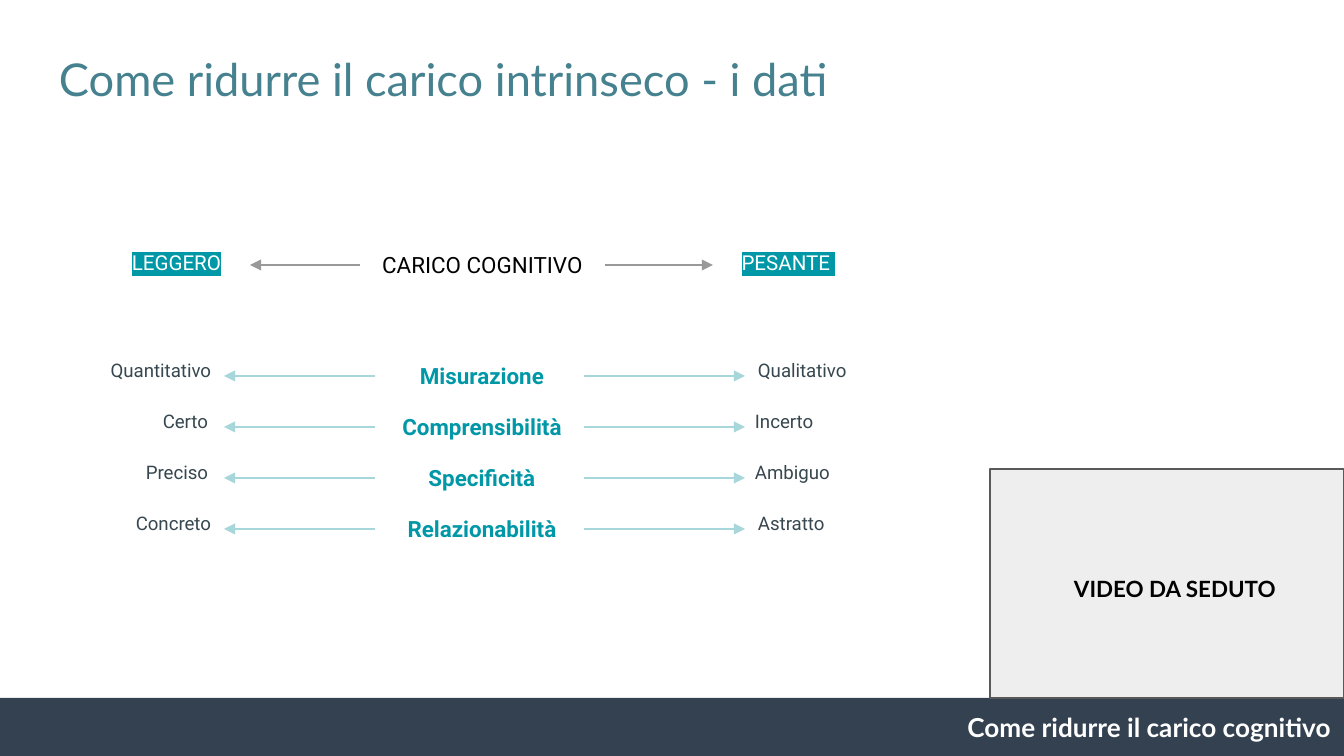
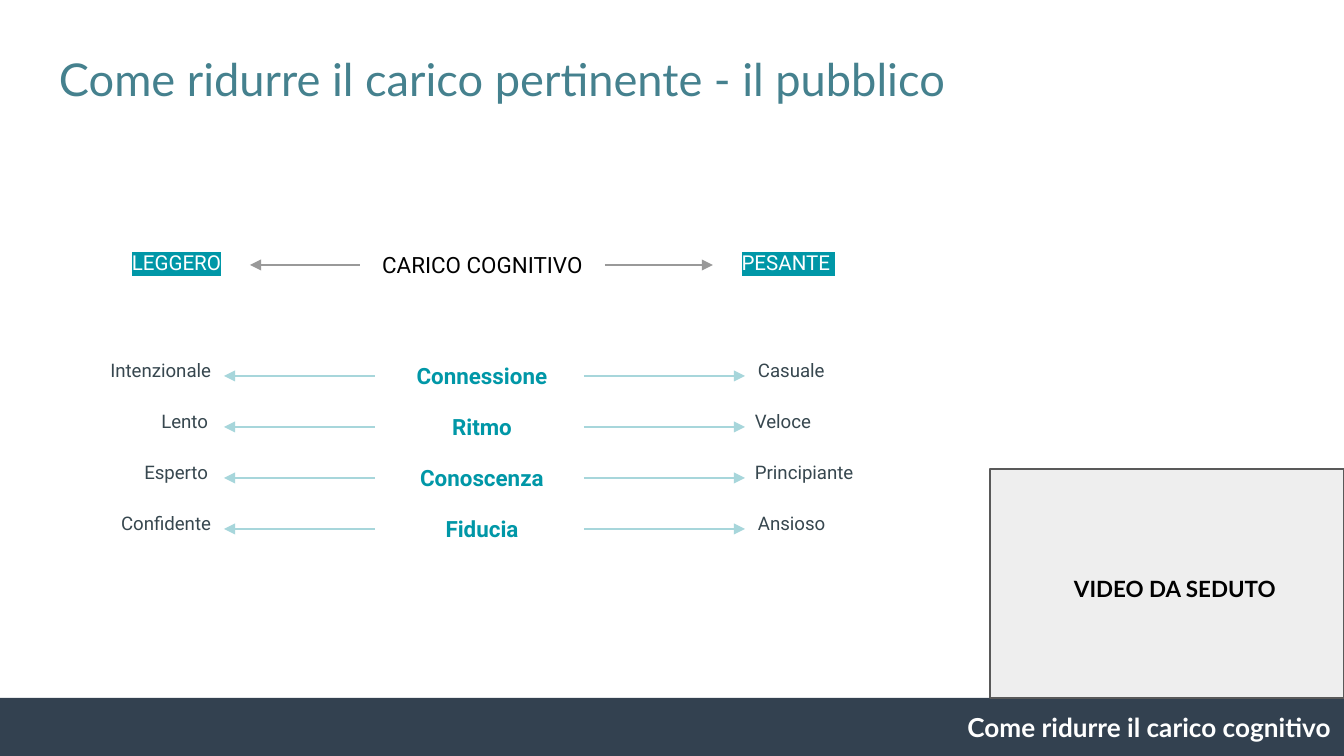
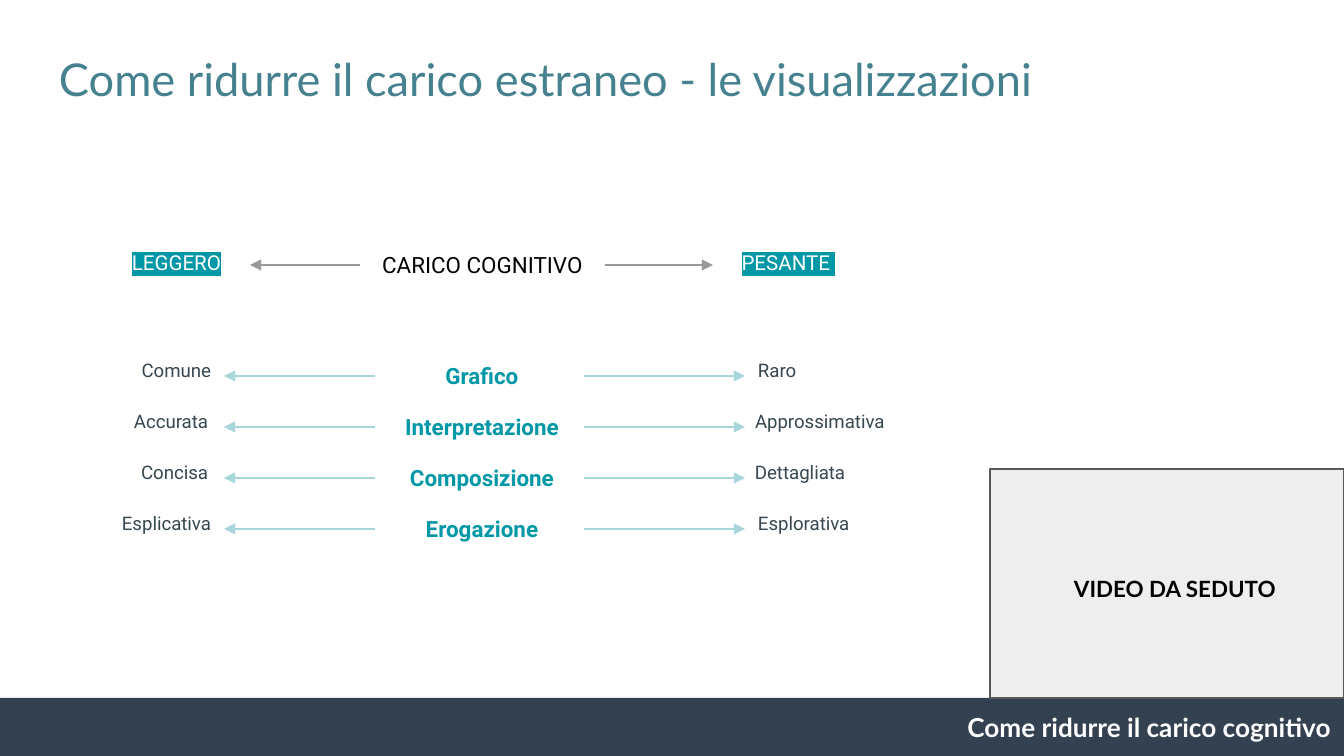
from dataclasses import dataclass

from lxml import etree
from pptx import Presentation
from pptx.dml.color import RGBColor
from pptx.enum.shapes import MSO_CONNECTOR, MSO_SHAPE
from pptx.enum.text import MSO_ANCHOR, PP_ALIGN
from pptx.oxml.ns import qn
from pptx.shapes.autoshape import Shape
from pptx.slide import Slide
from pptx.util import Emu, Inches, Pt

LEFT, CENTER, RIGHT = PP_ALIGN.LEFT, PP_ALIGN.CENTER, PP_ALIGN.RIGHT
TOP = MSO_ANCHOR.TOP
RECTANGLE = MSO_SHAPE.RECTANGLE
STRAIGHT = MSO_CONNECTOR.STRAIGHT
LEFT_SIDE, RIGHT_SIDE = 1, 3

SLIDE_W, SLIDE_H = 1344, 756
EMU_PER_PX = Inches(10) / SLIDE_W
INSET = 13


@dataclass(frozen=True)
class Theme:
    title: str = "45818E"
    band: str = "334150"
    panel: str = "EEEEEE"
    panel_line: str = "595959"
    white: str = "FFFFFF"
    black: str = "000000"
    accent: str = "0097A7"
    label: str = "37474F"
    axis_arrow: str = "999999"
    row_arrow: str = "A7D6DB"
    heading_font: str = "Lato"
    body_font: str = "Roboto"
    title_pt: float = 24.2
    footer_pt: float = 14
    topic_pt: float = 12
    pole_pt: float = 11
    label_pt: float = 10
    line_pt: float = 0.75


@dataclass(frozen=True)
class Box:
    x: int
    y: int
    w: int
    h: int


@dataclass(frozen=True)
class Scale:
    light: str
    topic: str
    heavy: str
    heavy_w: int = 138


@dataclass(frozen=True)
class Page:
    title: str
    scales: tuple[Scale, ...]


THEME = Theme()

TITLE = Box(46, 38, 1253, 85)
BAND = Box(-2, 698, 1346, 58)
FOOTER = Box(613, 698, 731, 58)
VIDEO = Box(990, 469, 354, 229)
VIDEO_LABEL = Box(1028, 562, 294, 85)

AXIS = Box(360, 238, 245, 54)
AXIS_Y = AXIS.y + AXIS.h // 2
AXIS_ARROW_ENDS = 250, 713
POLES = (("LEGGERO", Box(116, 238, 121, 53)), ("PESANTE ", Box(728, 238, 121, 53)))

ROW_Y, ROW_PITCH = 376, 51
TOPIC_CENTER, TOPIC_H = 482, 54
TOPIC_WIDTHS = 180, 190
LIGHT_ARROW = 375, 224
HEAVY_ARROW = 584, 745
LIGHT_X, HEAVY_X, LABEL_W, LABEL_H = 83, 742, 138, 50
LABEL_RISE = 28
OUTER_SHIFT = 3

PAGES = (
    Page("Come ridurre il carico intrinseco - i dati", (
        Scale("Quantitativo", "Misurazione", "Qualitativo"),
        Scale("Certo", "Comprensibilità", "Incerto"),
        Scale("Preciso", "Specificità", "Ambiguo"),
        Scale("Concreto", "Relazionabilità", "Astratto"),
    )),
    Page("Come ridurre il carico pertinente - il pubblico", (
        Scale("Intenzionale", "Connessione", "Casuale"),
        Scale("Lento", "Ritmo", "Veloce"),
        Scale("Esperto", "Conoscenza", "Principiante"),
        Scale("Confidente", "Fiducia", "Ansioso"),
    )),
    Page("Come ridurre il carico estraneo - le visualizzazioni", (
        Scale("Comune", "Grafico", "Raro"),
        Scale("Accurata", "Interpretazione", "Approssimativa", heavy_w=161),
        Scale("Concisa", "Composizione", "Dettagliata"),
        Scale("Esplicativa", "Erogazione", "Esplorativa"),
    )),
)


def px(n: int) -> Emu:
    return Emu(round(n * EMU_PER_PX))


def rgb(color: str) -> RGBColor:
    return RGBColor.from_string(color)


def emu_box(box: Box) -> tuple[Emu, ...]:
    return px(box.x), px(box.y), px(box.w), px(box.h)


def add_text(s: Slide, box: Box, text: str, *, size: float, color: str,
             font: str = THEME.body_font, bold: bool = False,
             align: PP_ALIGN = LEFT, highlight: str | None = None) -> Shape:
    sp = s.shapes.add_textbox(*emu_box(box))
    tf = sp.text_frame
    tf.word_wrap = True
    tf.vertical_anchor = TOP
    tf.margin_left = tf.margin_right = tf.margin_top = tf.margin_bottom = px(INSET)
    p = tf.paragraphs[0]
    p.alignment = align
    r = p.add_run()
    r.text = text
    r.font.name, r.font.size, r.font.bold = font, Pt(size), bold
    r.font.color.rgb = rgb(color)
    if highlight:
        mark = etree.Element(qn("a:highlight"))
        etree.SubElement(mark, qn("a:srgbClr"), val=highlight)
        r.font._element.find(qn("a:solidFill")).addnext(mark)
    return sp


def add_rect(s: Slide, box: Box, fill: str, line: str | None = None) -> None:
    sp = s.shapes.add_shape(RECTANGLE, *emu_box(box))
    sp.shadow.inherit = False
    sp.fill.solid()
    sp.fill.fore_color.rgb = rgb(fill)
    if line:
        sp.line.color.rgb = rgb(line)
        sp.line.width = Pt(THEME.line_pt)
    else:
        sp.line.fill.background()


def add_arrow(s: Slide, start: int, end: int, y: int, color: str,
              source: Shape | None = None, side: int = RIGHT_SIDE) -> None:
    """Draw a horizontal arrow, joined to a side of source when given."""
    sp = s.shapes.add_connector(STRAIGHT, px(start), px(y), px(end), px(y))
    if source is not None:
        sp.begin_connect(source, side)
    sp.line.color.rgb = rgb(color)
    sp.line.width = Pt(THEME.line_pt)
    etree.SubElement(sp.line._get_or_add_ln(), qn("a:tailEnd"), type="triangle")
    etree.SubElement(sp._element.spPr, qn("a:effectLst"))


def add_frame(s: Slide, title: str) -> None:
    """Draw the title, footer band and video panel."""
    heading = THEME.heading_font
    add_text(s, TITLE, title, size=THEME.title_pt, color=THEME.title, font=heading)
    add_rect(s, BAND, THEME.band)
    add_text(s, FOOTER, "Come ridurre il carico cognitivo", size=THEME.footer_pt,
             color=THEME.white, font=heading, bold=True, align=RIGHT)
    add_rect(s, VIDEO, THEME.panel, THEME.panel_line)
    add_text(s, VIDEO_LABEL, "VIDEO DA SEDUTO", size=THEME.topic_pt,
             color=THEME.black, font=heading, bold=True, align=CENTER)


def add_axis(s: Slide) -> None:
    axis = add_text(s, AXIS, "CARICO COGNITIVO", size=THEME.topic_pt,
                    color=THEME.black, align=CENTER)
    light_end, heavy_end = AXIS_ARROW_ENDS
    add_arrow(s, AXIS.x, light_end, AXIS_Y, THEME.axis_arrow, axis, LEFT_SIDE)
    add_arrow(s, AXIS.x + AXIS.w, heavy_end, AXIS_Y, THEME.axis_arrow, axis, RIGHT_SIDE)
    for text, box in POLES:
        add_text(s, box, text, size=THEME.pole_pt, color=THEME.white,
                 align=CENTER, highlight=THEME.accent)


def add_scale(s: Slide, scale: Scale, row: int, last: int) -> None:
    """Draw one topic with arrows to its light and heavy ends."""
    y = ROW_Y + row * ROW_PITCH
    w = TOPIC_WIDTHS[row % 2]
    topic = Box(TOPIC_CENTER - w // 2, y - TOPIC_H // 2, w, TOPIC_H)
    add_text(s, topic, scale.topic, size=THEME.topic_pt, color=THEME.accent,
             bold=True, align=CENTER)
    for start, end in (LIGHT_ARROW, HEAVY_ARROW):
        add_arrow(s, start, end, y, THEME.row_arrow)
    shift = OUTER_SHIFT if row in (0, last) else 0
    for text, x, width, align in (
        (scale.light, LIGHT_X, LABEL_W, RIGHT),
        (scale.heavy, HEAVY_X, scale.heavy_w, LEFT),
    ):
        add_text(s, Box(x + shift, y - LABEL_RISE, width, LABEL_H), text,
                 size=THEME.label_pt, color=THEME.label, align=align)


def main() -> None:
    prs = Presentation()
    prs.slide_width, prs.slide_height = px(SLIDE_W), px(SLIDE_H)
    blank = prs.slide_layouts[6]
    for page in PAGES:
        s = prs.slides.add_slide(blank)
        add_frame(s, page.title)
        add_axis(s)
        for row, scale in enumerate(page.scales):
            add_scale(s, scale, row, len(page.scales) - 1)
    prs.save("out.pptx")


if __name__ == "__main__":
    main()
